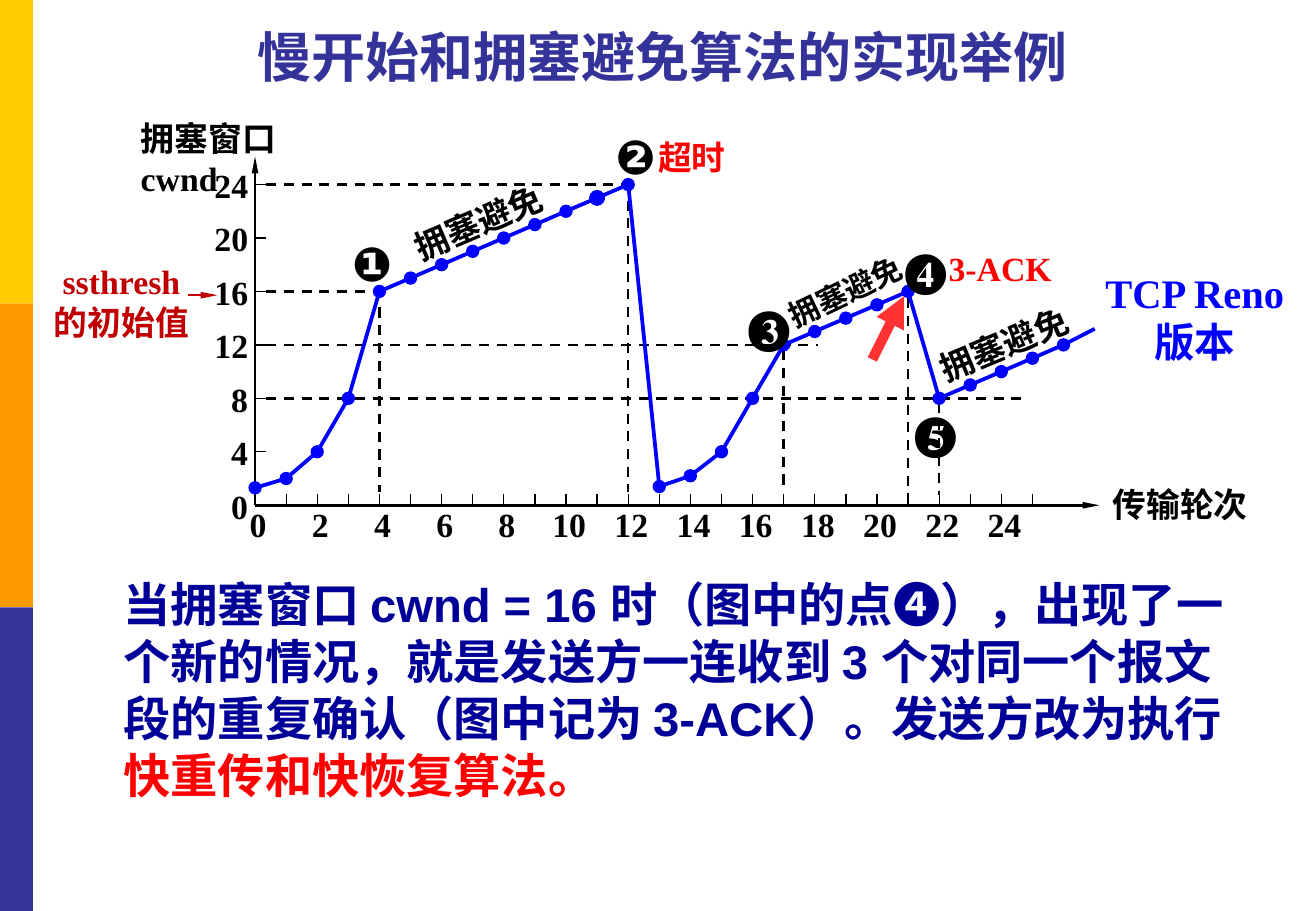
"""Build a slide on slow start and congestion avoidance with a congestion window plot."""
from dataclasses import dataclass

from lxml import etree
from pptx import Presentation
from pptx import util as u
from pptx.dml.color import RGBColor
from pptx.enum import dml, shapes, text
from pptx.oxml import ns


@dataclass(frozen=True)
class Theme:
    """Colours, fonts and type sizes of the slide."""
    stripes: tuple = ("FFCC00", "FF9900", "333399")
    title: str = "333399"
    body: str = "000099"
    alert: str = "FF0000"
    curve: str = "0000FF"
    threshold: str = "C00000"
    ink: str = "000000"
    title_font: str = "Lato"
    body_font: str = "Arial"
    label_font: str = "Times New Roman"
    title_size: float = 32
    body_size: float = 28
    version_size: float = 24
    label_size: float = 20
    small_size: float = 18


THEME = Theme()
LEFT, BASE = 151.2, 299.5
ROUND_STEP, CWND_STEP = 18.43, 7.92
LAST_ROUND, TICK = 25, 6.5
CWND = [1.3, 2, 4, 8, *range(16, 25), 1.4, 2.2, 4, 8, *range(12, 17), *range(8, 13)]
CURVE_END = (27, 13.2)
LEVEL_GUIDES = [(24, 12), (16, 4), (12, 18.1), (8, 24.7)]
ROUND_GUIDES = [(4, 14.8, 1), (12, 22.8, 1), (17, 11.6, 1.2), (21, 15.5, 0.3), (22, 7.7, 0.8)]
PHASES = [
    ((235.5, 116, 95.8, 31.7), 336.8, THEME.label_size),
    ((457.2, 158.4, 87.8, 28.8), 334.5, THEME.small_size),
    ((547.2, 188.6, 95.8, 31.7), 337.4, THEME.label_size),
]
ROUND_MARKS = [("❸", 436.3, 172.8), ("❹", 529.2, 139), ("❺", 535, 235.4)]
ARIAL_MARKS = [("❶", 201.6, 141.8), ("❷", 357.8, 78.2)]


def plot_x(round_number):
    """Return the horizontal place of a transmission round in points."""
    return LEFT + ROUND_STEP * round_number


def plot_y(cwnd):
    """Return the vertical place of a window size in points."""
    return BASE - CWND_STEP * cwnd


def add_text(slide, frame, lines, color, size=THEME.label_size, font=THEME.label_font,
             align=text.PP_ALIGN.LEFT, wrap=False, middle=False, rotation=0):
    """Add a bold text box with one paragraph per line and return it."""
    box = slide.shapes.add_textbox(*map(u.Pt, frame))
    box.rotation = rotation
    content = box.text_frame
    content.word_wrap = wrap
    content.auto_size = text.MSO_AUTO_SIZE.NONE if middle else text.MSO_AUTO_SIZE.SHAPE_TO_FIT_TEXT
    content.vertical_anchor = text.MSO_ANCHOR.MIDDLE if middle else text.MSO_ANCHOR.TOP
    content.text = "\n".join(lines)
    for paragraph in content.paragraphs:
        paragraph.alignment = align
        paragraph.font.name = font
        paragraph.font.size = u.Pt(size)
        paragraph.font.bold = True
        paragraph.font.color.rgb = RGBColor.from_string(color)
    return box


def add_solid(slide, kind, frame, color, line_width=0):
    """Add a filled preset shape, outlined in its own colour if a width is given."""
    shape = slide.shapes.add_shape(kind, *map(u.Pt, frame))
    shape.shadow.inherit = False
    shape.fill.solid()
    shape.fill.fore_color.rgb = RGBColor.from_string(color)
    if line_width:
        shape.line.color.rgb = RGBColor.from_string(color)
        shape.line.width = u.Pt(line_width)
    else:
        shape.line.fill.background()


def add_line(slide, start, end, color=THEME.ink, width=1.5, dashed=False, head=None, opacity=100):
    """Add a straight line, with an arrowhead of (width, length) at its end if given."""
    connector = slide.shapes.add_connector(
        shapes.MSO_CONNECTOR.STRAIGHT, *map(u.Pt, (*start, *end)))
    connector.line.color.rgb = RGBColor.from_string(color)
    connector.line.width = u.Pt(width)
    if dashed:
        connector.line.dash_style = dml.MSO_LINE.DASH
    properties = connector.element.spPr
    outline = properties.find(ns.qn("a:ln"))
    if head:
        etree.SubElement(outline, ns.qn("a:tailEnd"), type="triangle", w=head[0], len=head[1])
    if opacity < 100:
        tint = outline.find(".//" + ns.qn("a:srgbClr"))
        etree.SubElement(tint, ns.qn("a:alpha"), val=str(opacity * 1000))
    etree.SubElement(properties, ns.qn("a:effectLst"))


def add_axes(slide):
    """Draw both axes with their ticks, numbers and titles."""
    add_line(slide, (LEFT, BASE), (651.6, BASE), head=("sm", "lg"))
    add_line(slide, (LEFT, BASE), (LEFT, 92.9), head=("sm", "lg"))
    for number in range(1, LAST_ROUND + 1):
        x = plot_x(number)
        add_line(slide, (x, BASE - TICK), (x, BASE), width=0.75)
    for number in range(0, LAST_ROUND, 2):
        width = 24.5 if number < 10 else 34.5
        frame = (plot_x(number) + 2 - width / 2, 295.2, width, 31.7)
        add_text(slide, frame, [str(number)], THEME.ink)
    for number in range(0, LAST_ROUND, 4):
        y = plot_y(number)
        width = 24.5 if number < 10 else 34.5
        add_line(slide, (LEFT, y), (LEFT + TICK, y), width=0.75)
        add_text(slide, (154.5 - width, y - 15.3, width, 31.7), [str(number)], THEME.ink)
    add_text(slide, (652.3, 283, 95.8, 31.7), ["传输轮次"], THEME.ink)
    add_text(slide, (76.3, 66.2, 110, 57), ["拥塞窗口", "cwnd"], THEME.ink, wrap=True)


def add_guides(slide):
    """Draw the dashed lines that tie curve points to the axes."""
    for cwnd, end in LEVEL_GUIDES:
        add_line(slide, (LEFT + TICK, plot_y(cwnd)), (plot_x(end), plot_y(cwnd)), dashed=True)
    for number, top, bottom in ROUND_GUIDES:
        x = plot_x(number)
        add_line(slide, (x, plot_y(top)), (x, plot_y(bottom)), dashed=True)


def add_curve(slide):
    """Draw the congestion window curve and a dot for each round."""
    values = [*enumerate(CWND), CURVE_END]
    points = [(u.Pt(plot_x(number)), u.Pt(plot_y(cwnd))) for number, cwnd in values]
    builder = slide.shapes.build_freeform(*points[0], scale=1)
    builder.add_line_segments(points[1:], close=False)
    curve = builder.convert_to_shape()
    curve.shadow.inherit = False
    curve.fill.background()
    curve.line.color.rgb = RGBColor.from_string(THEME.curve)
    curve.line.width = u.Pt(2.25)
    for number, cwnd in enumerate(CWND):
        frame = (plot_x(number) - 3.6, plot_y(cwnd) - 3.6, 7.2, 7.2)
        add_solid(slide, shapes.MSO_SHAPE.OVAL, frame, THEME.curve, 2.25 if number == 11 else 0.75)


def add_annotations(slide):
    """Add phase names, numbered marks and event labels around the curve."""
    center = text.PP_ALIGN.CENTER
    for frame, rotation, size in PHASES:
        add_text(slide, frame, ["拥塞避免"], THEME.ink, size, align=center, rotation=rotation)
    for mark, x, y in ROUND_MARKS:
        add_text(slide, (x, y, 39.6, 41), [mark], THEME.ink, THEME.body_size)
    for mark, x, y in ARIAL_MARKS:
        add_text(slide, (x, y, 34.6, 28), [mark], THEME.ink, THEME.body_size,
                 THEME.body_font, middle=True)
    add_text(slide, (383, 77.8, 91.4, 31.7), ["超时"], THEME.alert, wrap=True)
    add_text(slide, (555.1, 143.3, 92.9, 31.7), ["3-ACK"], THEME.alert, wrap=True)
    add_text(slide, (643.7, 155.5, 128.9, 65.5), ["TCP Reno", "版本"], THEME.curve,
             THEME.version_size, align=center)
    add_text(slide, (21.6, 151.2, 100.8, 55.4), ["ssthresh", "的初始值"], THEME.threshold,
             align=center)
    add_line(slide, (111.6, 175), (128.9, 175), THEME.threshold, head=("sm", "lg"))
    add_line(slide, (517, 213.1), (535.7, 175.7), THEME.alert, 6, head=("med", "med"), opacity=80)


def add_explanation(slide):
    """Add the explanation below the plot with its red conclusion."""
    box = add_text(
        slide, (66.2, 337.7, 681.8, 143.3),
        ["当拥塞窗口 cwnd = 16 时（图中的点❹），出现了一个新的情况，就是发送方一连收到 3 "
         "个对同一个报文段的重复确认（图中记为 3-ACK）。发送方改为执行"],
        THEME.body, THEME.body_size, THEME.body_font, wrap=True)
    conclusion = box.text_frame.paragraphs[0].add_run()
    conclusion.text = "快重传和快恢复算法。"
    conclusion.font.color.rgb = RGBColor.from_string(THEME.alert)


def main():
    """Build and save the slide."""
    presentation = Presentation()
    presentation.slide_width, presentation.slide_height = u.Pt(780), u.Pt(540)
    slide = presentation.slides.add_slide(presentation.slide_layouts[6])
    for index, color in enumerate(THEME.stripes):
        add_solid(slide, shapes.MSO_SHAPE.RECTANGLE, (0, 180 * index, 19.5, 180), color)
    add_text(slide, (33, 12.2, 720, 41.8), ["慢开始和拥塞避免算法的实现举例"], THEME.title,
             THEME.title_size, THEME.title_font, text.PP_ALIGN.CENTER, wrap=True, middle=True)
    add_axes(slide)
    add_guides(slide)
    add_curve(slide)
    add_annotations(slide)
    add_explanation(slide)
    presentation.save("out.pptx")


if __name__ == "__main__":
    main()
